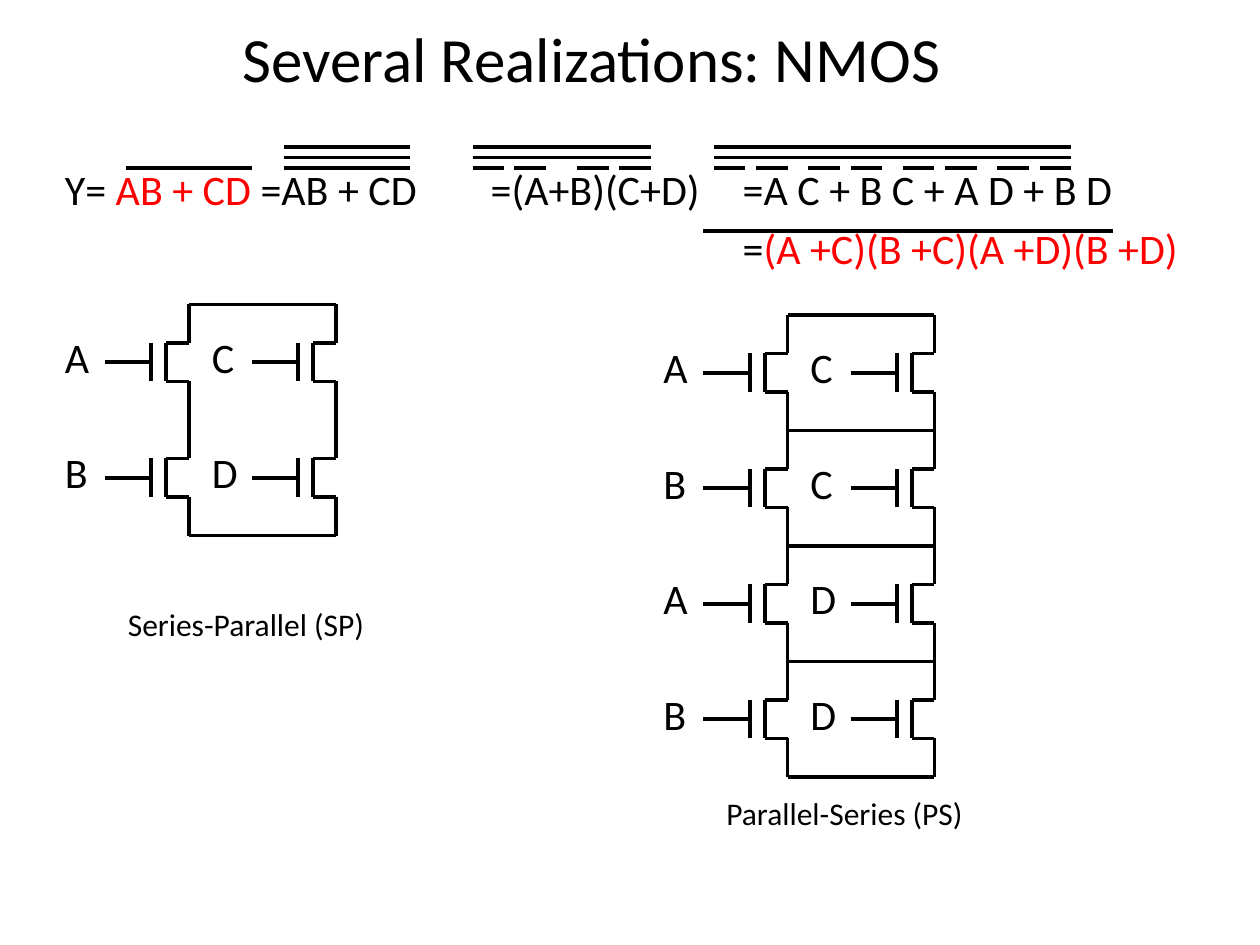
from itertools import pairwise

from lxml.etree import SubElement
from pptx import Presentation
from pptx.dml.color import RGBColor
from pptx.enum.shapes import MSO_CONNECTOR as Connector
from pptx.enum.text import MSO_ANCHOR as Anchor, MSO_AUTO_SIZE as AutoSize, PP_ALIGN as Align
from pptx.oxml.ns import qn
from pptx.util import Inches, Pt

COLUMNS, ROWS = 120, 90
UNIT = Inches(10) / COLUMNS
CELL_WIDTH, CELL_HEIGHT = 14, 11
BLACK, RED = "000000", "FF0000"


def grid(count):
    return round(count * UNIT)


def paint(color, value):
    color.rgb = RGBColor.from_string(value)


def assign(target, values):
    for name, value in values.items():
        setattr(target, name, value)


def add_line(shapes, start, end):
    line = shapes.add_connector(Connector.STRAIGHT, *map(grid, (*start, *end)))
    line.line.width = Pt(2.25)
    paint(line.line.color, BLACK)
    SubElement(line._element.spPr, qn("a:effectLst"))


def add_text(page, box, paragraphs, size, frame_format=None, para_format=None):
    frame = page.shapes.add_textbox(*map(grid, box)).text_frame
    assign(frame, {"word_wrap": True, **(frame_format or {})})
    for index, spans in enumerate(paragraphs):
        para = frame.add_paragraph() if index else frame.paragraphs[0]
        assign(para, para_format or {})
        for text, color in spans:
            span = para.add_run()
            span.text = text
            assign(span.font, {"name": "Calibri", "size": Pt(size)})
            paint(span.font.color, color)
    return frame


def add_label(page, box, text, size):
    add_text(page, box, [[(text, BLACK)]], size, {"auto_size": AutoSize.SHAPE_TO_FIT_TEXT})


def add_title(page, box):
    add_text(page, box, [[("Several Realizations: NMOS ", BLACK)]], 36,
             {"vertical_anchor": Anchor.MIDDLE}, {"alignment": Align.CENTER})


def add_equations(page, box):
    frame = add_text(page, box, [
        [("Y= ", BLACK), ("AB + CD ", RED),
         ("=AB + CD \t=(A+B)(C+D)\t=A C + B C + A D + B D", BLACK)],
        [("\t" * 6 + "=", BLACK), ("(A +C)(B +C)(A +D)(B +D)", RED)],
    ], 24, None, {"space_before": Pt(4.8)})
    layout = {"marL": Inches(0.38), "indent": -Inches(0.38), "defTabSz": Inches(1)}
    for para in frame.paragraphs:
        properties = para._p.get_or_add_pPr()
        for name, length in layout.items():
            properties.set(name, str(length))


def add_overbars(page, box):
    left, top = box[:2]
    long_bars = [(7, 19, (1,)), (22, 34, (-1, 0, 1)), (40, 57, (-1, 0)),
                 (63, 97, (-1, 0)), (62, 101, (7,))]
    for start, end, levels in long_bars:
        for level in levels:
            add_line(page.shapes, (left + start, top + level), (left + end, top + level))
    for start in (40, 44, 50, 54, 63, 67, 72, 76, 81, 85, 90, 94):
        add_line(page.shapes, (left + start, top + 1), (left + start + 3, top + 1))


def add_transistor(page, box, name):
    left, top, width, height = box
    gate, channel, drain = left + 10.4, left + 11.84, left + width
    upper, middle, lower = (top + height * share for share in (1 / 3, 1 / 2, 2 / 3))
    shapes = page.shapes.add_group_shape().shapes
    add_line(shapes, (left + 6, middle), (gate, middle))
    add_line(shapes, (gate, upper), (gate, lower))
    route = [(drain, top), (drain, upper), (channel, upper),
             (channel, lower), (drain, lower), (drain, top + height)]
    for start, end in pairwise(route):
        add_line(shapes, start, end)
    add_label(page, (left + 1, top + 1.94, 8, 6.1), name, 24)


def add_circuit(page, box, names, rails, caption, caption_top):
    left, top = box[:2]
    for row, pair in enumerate(names):
        for column, name in enumerate(pair):
            cell = (left + column * CELL_WIDTH, top + row * CELL_HEIGHT, CELL_WIDTH, CELL_HEIGHT)
            add_transistor(page, cell, name)
    for rail in rails:
        height = top + rail * CELL_HEIGHT
        add_line(page.shapes, (left + CELL_WIDTH, height), (left + 2 * CELL_WIDTH, height))
    add_label(page, (left + 7, caption_top, 31, 4.8), caption, 18)


def main():
    deck = Presentation()
    assign(deck, {"slide_width": grid(COLUMNS), "slide_height": grid(ROWS)})
    page = deck.slides.add_slide(deck.slide_layouts[6])
    equations = (5, 15, 120, 9)
    add_title(page, (6, 0, 102, 11))
    add_equations(page, equations)
    add_overbars(page, equations)
    add_circuit(page, (4, 29, 28, 22), ["AC", "BD"], (0, 2), "Series-Parallel (SP)", 57)
    add_circuit(page, (61, 30, 28, 44), ["AC", "BC", "AD", "BD"], range(5),
                "Parallel-Series (PS)", 75)
    deck.save("out.pptx")


if __name__ == "__main__":
    main()
